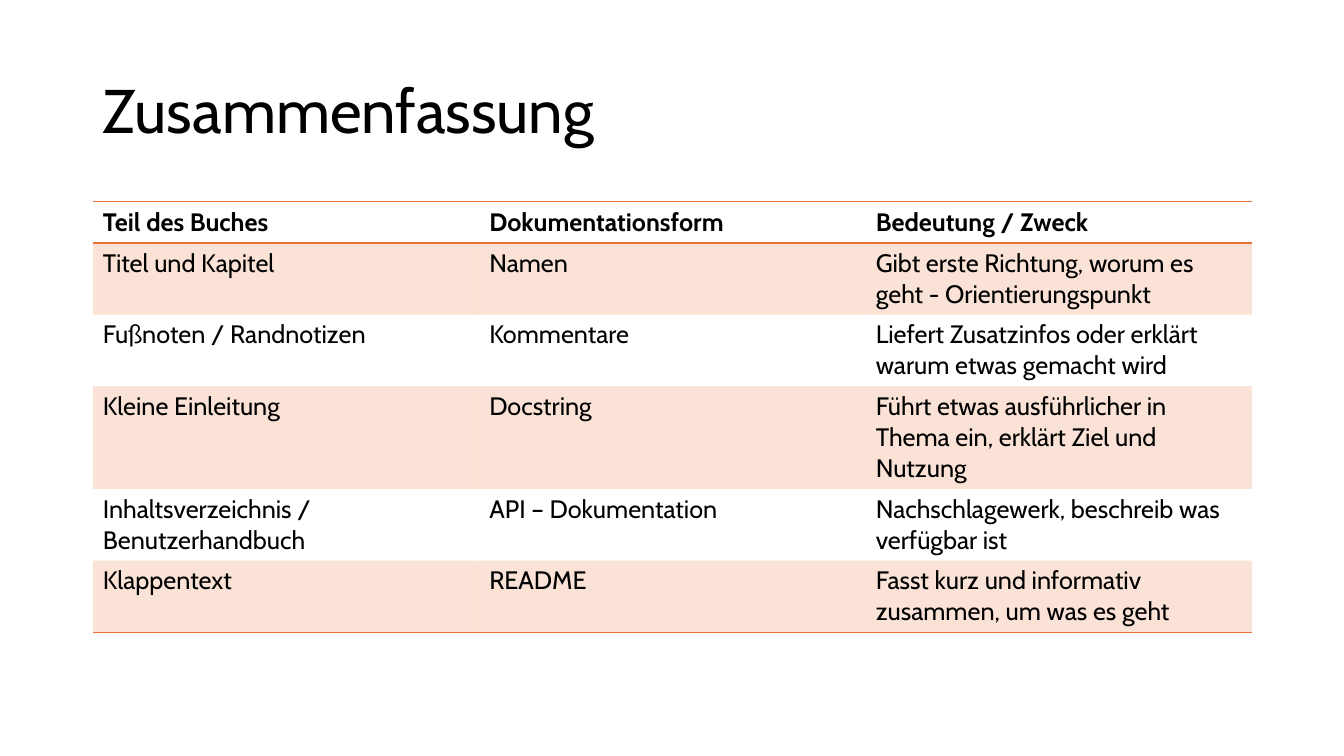
from dataclasses import dataclass

from lxml.etree import SubElement
from pptx import Presentation
from pptx.dml.color import RGBColor
from pptx.enum.text import MSO_ANCHOR, PP_ALIGN
from pptx.oxml import parse_xml
from pptx.oxml.ns import nsdecls, qn
from pptx.util import Inches, Pt


@dataclass(frozen=True)
class Theme:
    font: str = "Cabin"
    ink: str = "000000"
    accent: str = "E97132"
    band_alpha: int = 20
    title_size: int = 44
    body_size: int = 18
    rule_width: int = 1


theme = Theme()
NO_STYLE_NO_GRID = "{2D5ABB26-0587-4C30-8999-92F81FD0307C}"


def format_text(paragraph, size, bold=False):
    font_format = {"name": theme.font, "size": Pt(size), "bold": bold}
    for run in paragraph.runs:
        for attribute, value in font_format.items():
            setattr(run.font, attribute, value)
        run.font.color.rgb = RGBColor.from_string(theme.ink)


def add_rules(cell, edges):
    for position, edge in enumerate(edges):
        rule = parse_xml(
            f'<a:{edge} {nsdecls("a")} w="{Pt(theme.rule_width)}"><a:solidFill>'
            f'<a:srgbClr val="{theme.accent}"/></a:solidFill></a:{edge}>'
        )
        cell._tc.get_or_add_tcPr().insert(position, rule)


# Slide
presentation = Presentation()
presentation.slide_width = Inches(13.33)
presentation.slide_height = Inches(7.5)
slide = presentation.slides.add_slide(presentation.slide_layouts[5])

left, content_width = Inches(0.92), Inches(11.5)

# Title
title = slide.shapes.title
title_box = {"left": left, "top": Inches(0.4),
             "width": content_width, "height": Inches(1.45)}
for attribute, value in title_box.items():
    setattr(title, attribute, value)
title.text_frame.text = "Zusammenfassung"
title.text_frame.vertical_anchor = MSO_ANCHOR.MIDDLE
heading = title.text_frame.paragraphs[0]
heading.alignment = PP_ALIGN.LEFT
heading.line_spacing = 0.9
format_text(heading, theme.title_size)

# Book parts and the documentation they stand for
book_parts = [
    ("Teil des Buches", "Dokumentationsform", "Bedeutung / Zweck"),
    ("Titel und Kapitel", "Namen",
     "Gibt erste Richtung, worum es geht - Orientierungspunkt"),
    ("Fußnoten / Randnotizen", "Kommentare",
     "Liefert Zusatzinfos oder erklärt warum etwas gemacht wird"),
    ("Kleine Einleitung", "Docstring",
     "Führt etwas ausführlicher in Thema ein, erklärt Ziel und Nutzung"),
    ("Inhaltsverzeichnis / Benutzerhandbuch", "API – Dokumentation",
     "Nachschlagewerk, beschreib was verfügbar ist"),
    ("Klappentext", "README",
     "Fasst kurz und informativ zusammen, um was es geht"),
]
row_heights = [0.41, 0.71, 0.71, 1.02, 0.71, 0.71]
last_row = len(book_parts) - 1
edges_by_row = {0: ("lnT", "lnB"), last_row: ("lnB",)}

# Summary table
summary = slide.shapes.add_table(
    len(book_parts), len(book_parts[0]),
    left, Inches(2), content_width, Inches(sum(row_heights)),
).table
summary._tbl.tblPr.find(qn("a:tableStyleId")).text = NO_STYLE_NO_GRID

for row_index, (entries, height) in enumerate(zip(book_parts, row_heights)):
    summary.rows[row_index].height = Inches(height)
    for column_index, entry in enumerate(entries):
        cell = summary.cell(row_index, column_index)
        cell.text = entry
        format_text(cell.text_frame.paragraphs[0], theme.body_size,
                    bold=row_index == 0)
        # Tinted bands on every second row
        if row_index % 2:
            cell.fill.solid()
            cell.fill.fore_color.rgb = RGBColor.from_string(theme.accent)
            tint = cell._tc.tcPr.find(f"{qn('a:solidFill')}/{qn('a:srgbClr')}")
            SubElement(tint, qn("a:alpha"), val=str(theme.band_alpha * 1000))
        else:
            cell.fill.background()
        # Rules around the header and below the last row
        add_rules(cell, edges_by_row.get(row_index, ()))

presentation.save("out.pptx")
